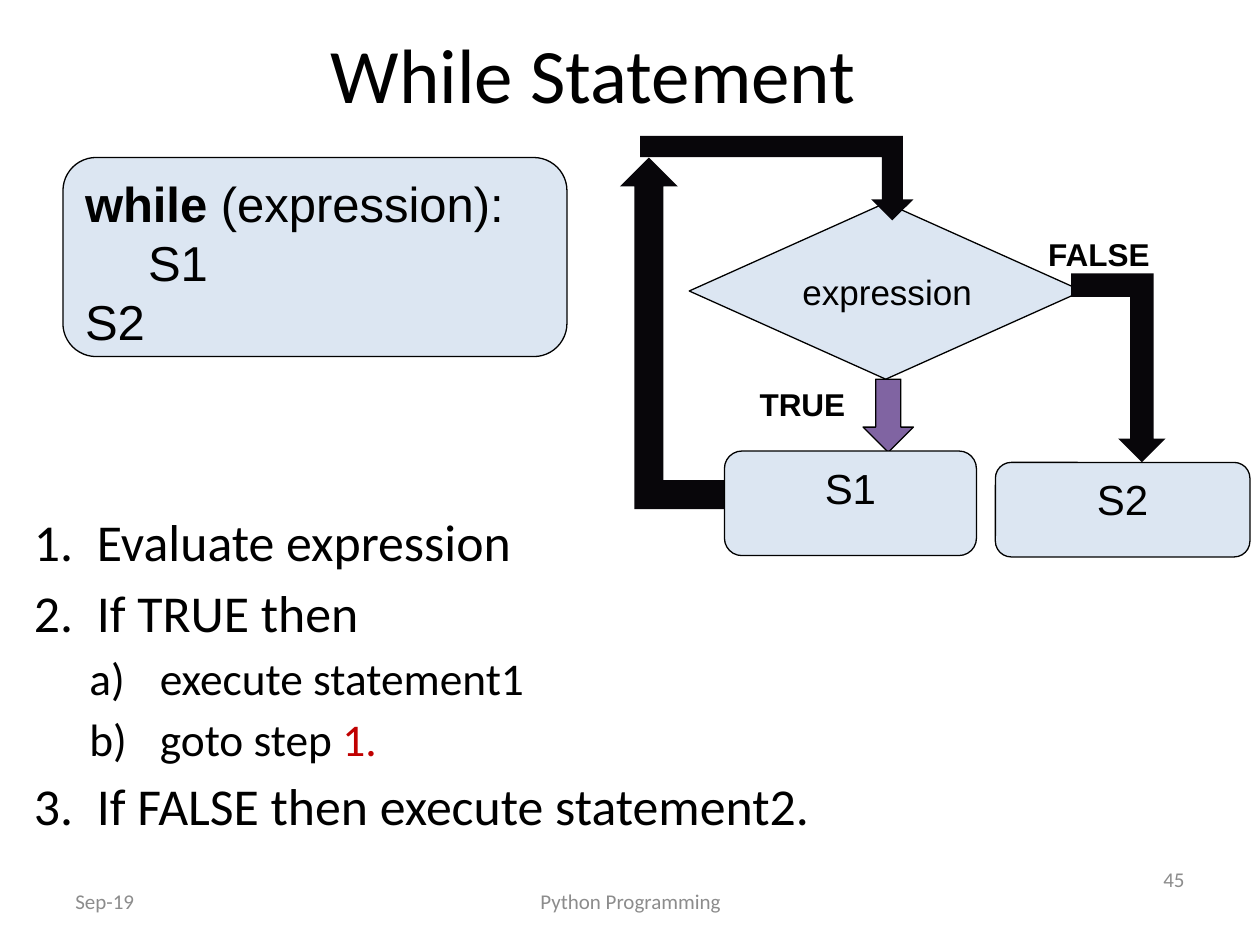
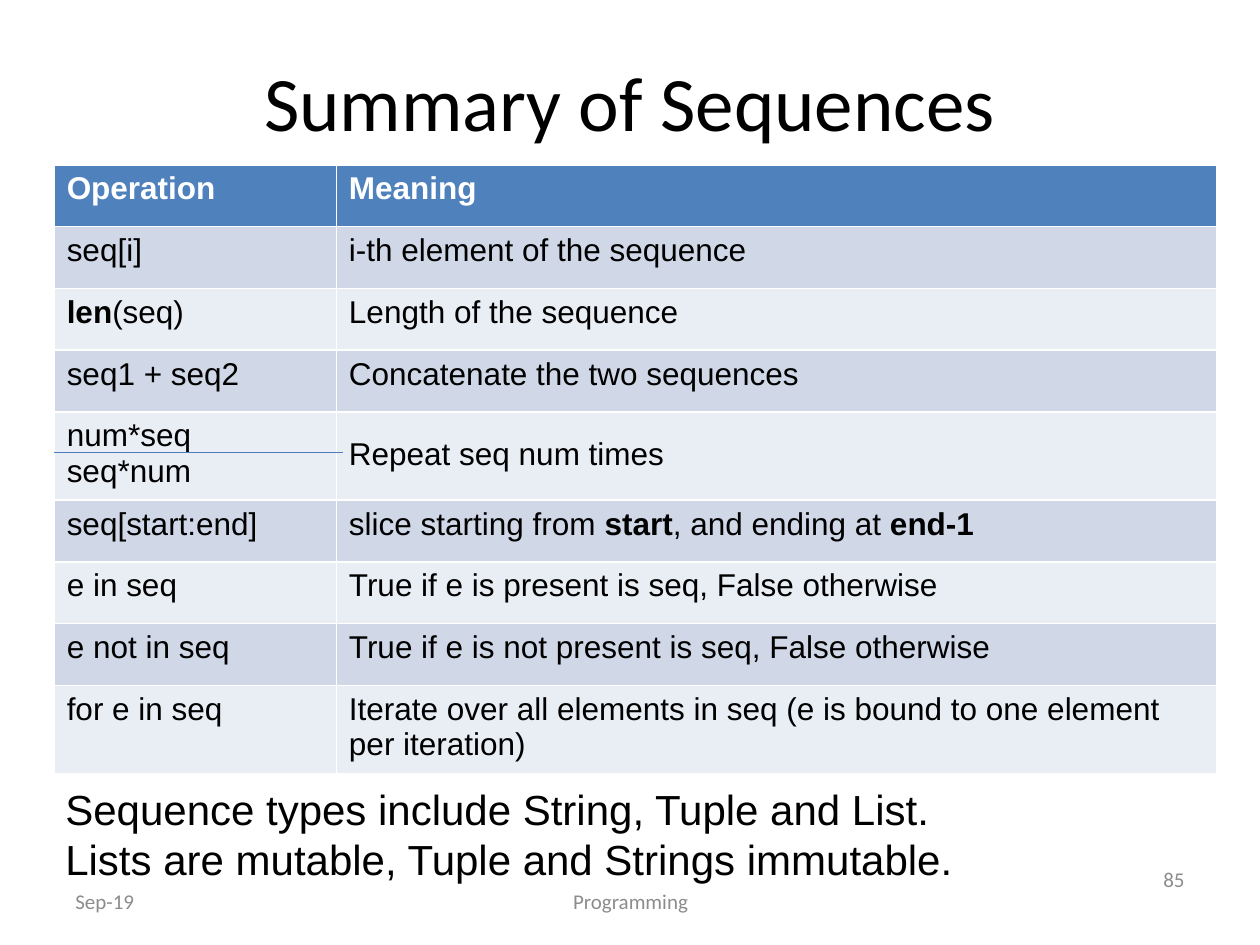
from lxml import etree
from pptx import Presentation
from pptx.dml.color import RGBColor
from pptx.enum.shapes import MSO_CONNECTOR, MSO_SHAPE
from pptx.enum.text import MSO_ANCHOR, PP_ALIGN
from pptx.oxml.ns import qn
from pptx.util import Inches, Pt

LEFT, MID, RIGHT = PP_ALIGN.LEFT, PP_ALIGN.CENTER, PP_ALIGN.RIGHT
TOP, CENTER = MSO_ANCHOR.TOP, MSO_ANCHOR.MIDDLE
ROUND, RECT = MSO_SHAPE.ROUNDED_RECTANGLE, MSO_SHAPE.RECTANGLE
DIAMOND, DOWN = MSO_SHAPE.FLOWCHART_DECISION, MSO_SHAPE.DOWN_ARROW
BENT = MSO_SHAPE.BENT_UP_ARROW
STRAIGHT = MSO_CONNECTOR.STRAIGHT

HUES = {name: RGBColor.from_string(value) for name, value in {
    "black": "000000", "white": "FFFFFF", "gray": "8C8C8C", "red": "C00000",
    "pale": "DCE6F2", "purple": "8064A2", "ink": "08060A",
    "head": "4F81BD", "odd": "D0D8E8", "even": "E9EDF4", "rule": "4B7EBC",
}.items()}


def write(frame, lines, size, hue="black", font="Arial", align=LEFT, bold=False):
    """Fill a text frame; parts between bars are bold."""
    for i, line in enumerate(lines):
        para = frame.paragraphs[0] if i == 0 else frame.add_paragraph()
        para.alignment = align
        para.font.size, para.font.name = Pt(size), font
        para.font.color.rgb = HUES[hue]
        para.font.bold = bold
        for j, part in enumerate(line.split("|")):
            if part:
                run = para.add_run()
                run.text = part
                if j % 2:
                    run.font.bold = True


def add(slide, at, lines=(), size=18, kind=None, fill=None, line=None,
        anchor=TOP, wrap=True, **style):
    """Add a text box, or a preset shape when a kind is given."""
    at = [Inches(n) for n in at]
    if kind is None:
        shape = slide.shapes.add_textbox(*at)
    else:
        shape = slide.shapes.add_shape(kind, *at)
        shape.shadow.inherit = False
        shape.fill.solid()
        shape.fill.fore_color.rgb = HUES[fill]
        if line:
            shape.line.color.rgb = HUES[line]
            shape.line.width = Pt(0.75)
        else:
            shape.line.fill.background()
    frame = shape.text_frame
    frame.word_wrap = wrap
    frame.vertical_anchor = anchor
    write(frame, lines, size, **style)
    return shape


deck = Presentation()
deck.slide_width, deck.slide_height = Inches(10), Inches(7.5)

# Titles and footers
pages = []
for title, at, foot, num in [
    ("While Statement", (0.46, 0.02, 8.5, 1.11), "Python Programming", "45"),
    ("Summary of Sequences", (0.5, 0.3, 9, 1), "Programming", "85"),
]:
    page = deck.slides.add_slide(deck.slide_layouts[6])
    add(page, at, [title], 44, font="Calibri", align=MID, anchor=CENTER)
    for text, x, y, width, align in [
        ("Sep-19", 0.5, 6.95, 2.33, LEFT),
        (foot, 3.42, 6.95, 3.17, MID),
        (num, 7.17, 6.78, 2.33, RIGHT),
    ]:
        add(page, (x, y, width, 0.4), [text], 12, hue="gray",
            font="Calibri", align=align, anchor=CENTER)
    pages.append(page)
loop, table_page = pages

# Numbered steps
steps = add(loop, (0.17, 4, 9.75, 2.75), [
    "Evaluate expression", "If TRUE then", "execute statement1",
    "goto step ", "If FALSE then execute statement2.",
], 29.6, font="Calibri").text_frame.paragraphs
for para, level in zip(steps, (0, 0, 1, 1, 0)):
    size, gap, indent, hang, scheme = [
        (29.6, 4.7, 0.5, 0.5, "arabicPeriod"),
        (25.9, 4.1, 1, 0.56, "alphaLcParenR"),
    ][level]
    para.level = level
    para.font.size, para.space_before = Pt(size), Pt(gap)
    props = para._p.get_or_add_pPr()
    props.set("marL", str(Inches(indent)))
    props.set("indent", str(-Inches(hang)))
    mark = etree.Element(qn("a:buAutoNum"), type=scheme)
    props.find(qn("a:defRPr")).addprevious(mark)
goal = steps[3].add_run()
goal.text = "1."
goal.font.color.rgb = HUES["red"]

# Code box
pale = {"fill": "pale", "line": "black"}
add(loop, (0.5, 1.25, 4, 1.58), ["|while |(expression):", "\tS1", "S2"], 28,
    kind=ROUND, **pale)

# Flow chart
add(loop, (5.47, 1.61, 3.12, 1.4), kind=DIAMOND, **pale)
add(loop, (6.85, 3.01, 0.4, 0.58), kind=DOWN, fill="purple", line="black")
for at, flip in [
    ((4.92, 1.25, 0.92, 2.79), "flipH"),
    ((5.08, 1.08, 2.17, 0.67), "flipV"),
    ((8.5, 2.17, 0.75, 1.5), "flipV"),
]:
    arrow = add(loop, at, kind=BENT, fill="ink")
    arrow._element.spPr.find(qn("a:xfrm")).set(flip, "1")
add(loop, (8.22, 1.82, 1.02, 0.4), ["FALSE"], bold=True, wrap=False)
add(loop, (5.93, 3.01, 0.89, 0.4), ["TRUE"], bold=True, wrap=False)
add(loop, (6.27, 2.1, 1.56, 0.44), ["expression"], 20, kind=RECT,
    fill="pale", wrap=False)
for text, at in [("S1", (5.75, 3.58, 2, 0.83)), ("S2", (7.9, 3.67, 2.02, 0.75))]:
    add(loop, at, [text], 24, kind=ROUND, align=MID, **pale)

# Table of operations
ROWS = [
    ("Operation", "Meaning"),
    ("seq[i]", "i-th element of the sequence"),
    ("|len|(seq)", "Length of the sequence"),
    ("seq1 + seq2", "Concatenate the two sequences"),
    ("num*seq\nseq*num", "Repeat seq num times"),
    ("seq[start:end]", "slice starting from |start|, and ending at |end-1|"),
    ("e in seq", "True if e is present is seq, False otherwise"),
    ("e not in seq", "True if e is not present is seq, False otherwise"),
    ("for e in seq", "Iterate over all elements in seq "
                     "(e is bound to one element per iteration)"),
]
grid = table_page.shapes.add_table(
    len(ROWS), 2, Inches(0.43), Inches(1.31), Inches(9.23), Inches(4.83)).table
for col, width in zip(grid.columns, (2.24, 6.99)):
    col.width = Inches(width)
for r, row in enumerate(ROWS):
    grid.rows[r].height = Inches(0.7 if r in (4, 8) else 0.49)
    for c, text in enumerate(row):
        cell = grid.cell(r, c)
        cell.fill.solid()
        cell.fill.fore_color.rgb = HUES["head" if r == 0 else "odd" if r % 2 else "even"]
        write(cell.text_frame, text.split("\n"), 18,
              hue="white" if r == 0 else "black", bold=r == 0)
repeat = grid.cell(4, 1)
repeat.vertical_anchor = CENTER
repeat.text_frame.paragraphs[0].line_spacing = 0.9

# Rule between the two repeat forms
rule = table_page.shapes.add_connector(
    STRAIGHT, Inches(0.43), Inches(3.59), Inches(2.72), Inches(3.59))
rule.line.color.rgb = HUES["rule"]
rule.line.width = Pt(0.75)
etree.SubElement(rule._element.spPr, qn("a:effectLst"))

# Closing note
add(table_page, (0.42, 6.17, 9.08, 0.9), [
    "Sequence types include String, Tuple and List.",
    "Lists are mutable, Tuple and Strings immutable.",
], 24)

deck.save("out.pptx")
